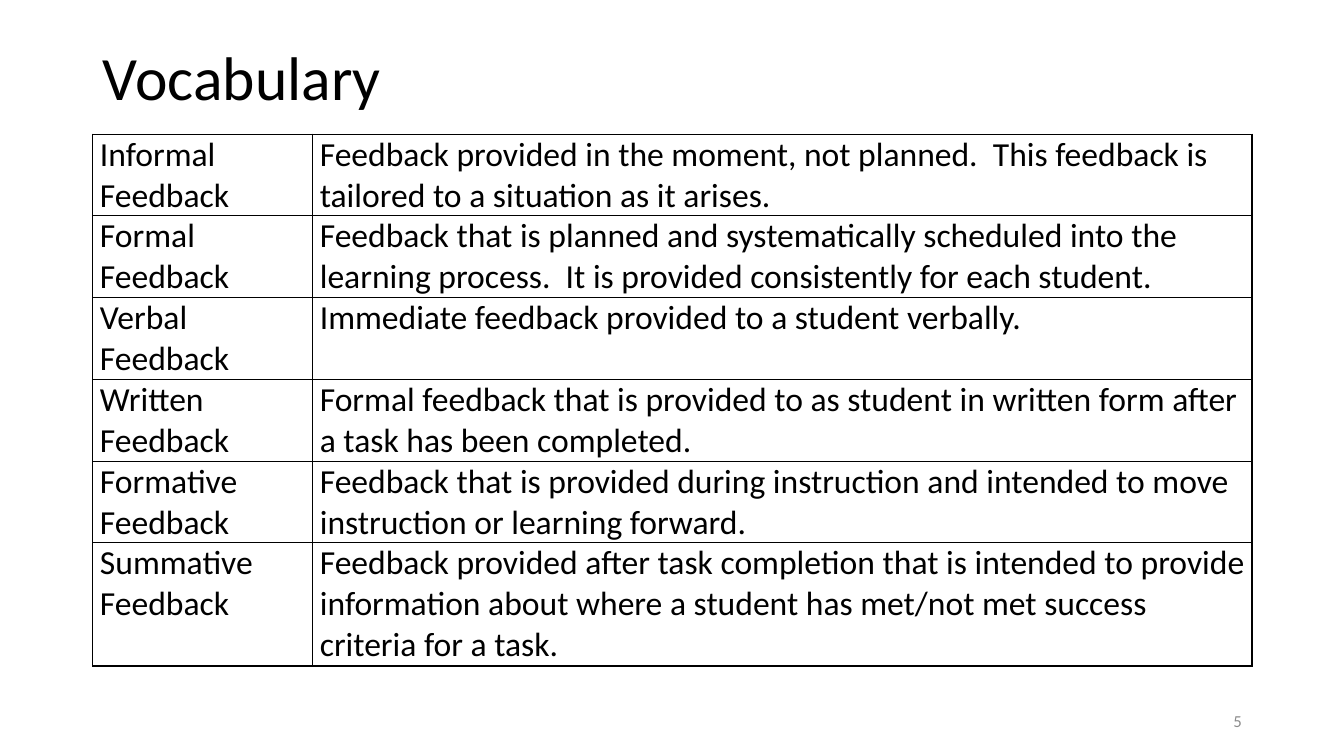
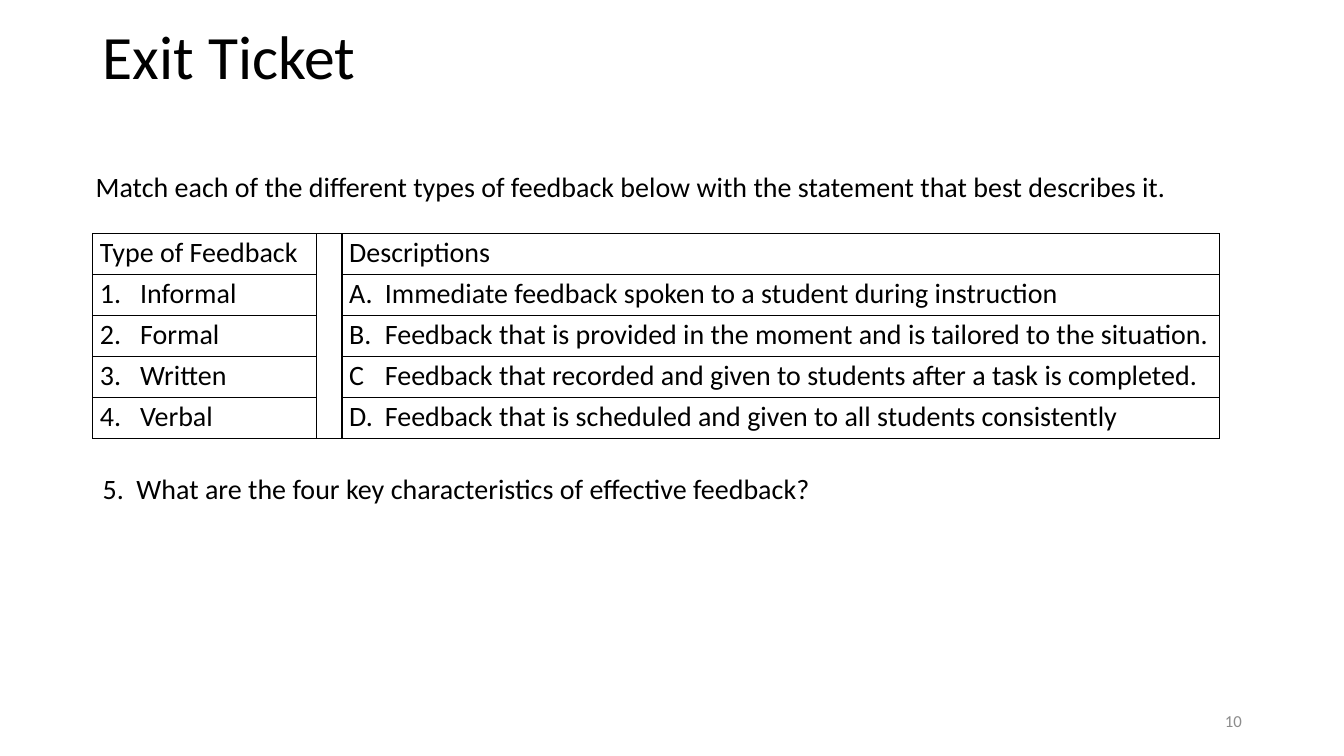
"""Build two slides on kinds of feedback: a vocabulary table and an exit ticket."""
from dataclasses import dataclass

from lxml.etree import SubElement
from pptx import Presentation
from pptx.dml.color import RGBColor
from pptx.enum.text import MSO_ANCHOR as Anchor, MSO_AUTO_SIZE as AutoSize, PP_ALIGN as Align
from pptx.oxml.ns import qn
from pptx.util import Cm, Pt


@dataclass(frozen=True)
class Theme:
    """Colours, type sizes and shared measures."""
    font: str = "Calibri"
    ink: str = "000000"
    grey: str = "8C8C8C"
    title_size: int = 44
    term_size: int = 24
    body_size: int = 20
    number_size: int = 12
    border: int = 1
    left: float = 2.34
    width: float = 29.21
    cell_margin: float = 0.18


THEME = Theme()

VOCABULARY = [
    ("Informal Feedback",
     "Feedback provided in the moment, not planned.  This feedback is tailored to a situation as it arises."),
    ("Formal Feedback",
     "Feedback that is planned and systematically scheduled into the learning process.  "
     "It is provided consistently for each student."),
    ("Verbal Feedback", "Immediate feedback provided to a student verbally."),
    ("Written Feedback",
     "Formal feedback that is provided to as student in written form after a task has been completed."),
    ("Formative Feedback",
     "Feedback that is provided during instruction and intended to move instruction or learning forward."),
    ("Summative Feedback",
     "Feedback provided after task completion that is intended to provide information about "
     "where a student has met/not met success criteria for a task."),
]

MATCHING = [
    ("Type of Feedback", "", "Descriptions"),
    ("1.\tInformal", "", "A.\tImmediate feedback spoken to a student during instruction"),
    ("2.\tFormal", "", "B.\tFeedback that is provided in the moment and is tailored to the situation."),
    ("3.\tWritten", "", "C\tFeedback that recorded and given to students after a task is completed."),
    ("4.\tVerbal", "", "D.\tFeedback that is scheduled and given to all students consistently"),
]


def write(frame, text, size, color=THEME.ink, align=Align.LEFT, spacing=1.0, hanging=0):
    """Fill a text frame with one formatted paragraph; text after a tab starts at the hanging indent."""
    frame.word_wrap = True
    paragraph = frame.paragraphs[0]
    paragraph.text = text
    paragraph.alignment = align
    paragraph.line_spacing = spacing
    if "\t" in text:
        properties = paragraph._p.get_or_add_pPr()
        properties.set("marL", str(Cm(hanging)))
        properties.set("indent", str(-Cm(hanging)))
    font = paragraph.font
    font.name, font.size, font.bold = THEME.font, Pt(size), False
    font.color.rgb = RGBColor.from_string(color)


def add_text(slide, text, left, top, width, height, size, anchor=Anchor.TOP, **text_format):
    """Add a text box with one paragraph."""
    box = slide.shapes.add_textbox(Cm(left), Cm(top), Cm(width), Cm(height))
    box.text_frame.vertical_anchor = anchor
    write(box.text_frame, text, size, **text_format)


def add_slide(presentation, title, top, height, number):
    """Add a slide with its title and slide number."""
    slide = presentation.slides.add_slide(presentation.slide_layouts[5])
    shape = slide.shapes.title
    shape.left, shape.top = Cm(THEME.left), Cm(top)
    shape.width, shape.height = Cm(THEME.width), Cm(height)
    shape.text_frame.auto_size = AutoSize.NONE
    shape.text_frame.vertical_anchor = Anchor.MIDDLE
    write(shape.text_frame, title, THEME.title_size, spacing=0.9)
    add_text(slide, number, 23.93, 17.65, 7.62, 1.02, THEME.number_size,
             anchor=Anchor.MIDDLE, color=THEME.grey, align=Align.RIGHT)
    return slide


def outline(cell):
    """Draw a thin line on all four sides of a cell."""
    properties = cell._tc.get_or_add_tcPr()
    for side in ("a:lnL", "a:lnR", "a:lnT", "a:lnB"):
        line = SubElement(properties, qn(side), w=str(Pt(THEME.border)))
        SubElement(SubElement(line, qn("a:solidFill")), qn("a:srgbClr"), val=THEME.ink)


def add_grid(slide, rows, top, column_widths, row_heights, size, spacing=1.0, hangings=None):
    """Add a plain outlined table and return it."""
    table = slide.shapes.add_table(len(rows), len(column_widths), Cm(THEME.left), Cm(top),
                                   Cm(sum(column_widths)), Cm(sum(row_heights))).table
    table.first_row = table.horz_banding = False
    for column, width in zip(table.columns, column_widths):
        column.width = Cm(width)
    hangings = hangings or [0] * len(column_widths)
    for row, height, texts in zip(table.rows, row_heights, rows):
        row.height = Cm(height)
        for cell, text, hanging in zip(row.cells, texts, hangings):
            cell.margin_left = cell.margin_right = Cm(THEME.cell_margin)
            cell.margin_top = cell.margin_bottom = 0
            outline(cell)
            cell.fill.background()
            write(cell.text_frame, text, size, spacing=spacing, hanging=hanging)
    return table


def build_vocabulary(presentation):
    """Build the slide that defines each kind of feedback."""
    slide = add_slide(presentation, "Vocabulary", 1.02, 2.03, "5")
    add_grid(slide, VOCABULARY, 3.38, [5.54, 23.67], [2.06] * 5 + [3.1], THEME.term_size)


def build_exit_ticket(presentation):
    """Build the slide with the matching task and the closing question."""
    slide = add_slide(presentation, "Exit Ticket", 0.38, 2.24, "10")
    add_text(slide, "Match each of the different types of feedback below with the statement that best describes it.",
             2.16, 4.24, THEME.width, 2.49, THEME.body_size, spacing=0.9)
    table = add_grid(slide, MATCHING, 5.89, [5.64, 0.64, 22.12], [1.03] * len(MATCHING),
                     THEME.body_size, spacing=1.07, hangings=[1.01, 0, 0.9])
    table.cell(0, 1).merge(table.cell(len(MATCHING) - 1, 1))
    add_text(slide, "5.\tWhat are the four key characteristics of effective feedback?",
             THEME.left, 11.86, THEME.width, 2.49, THEME.body_size, spacing=0.9, hanging=0.85)


def main():
    """Create and save the presentation."""
    presentation = Presentation()
    presentation.slide_width, presentation.slide_height = Cm(33.87), Cm(19.05)
    build_vocabulary(presentation)
    build_exit_ticket(presentation)
    presentation.save("out.pptx")


if __name__ == "__main__":
    main()
